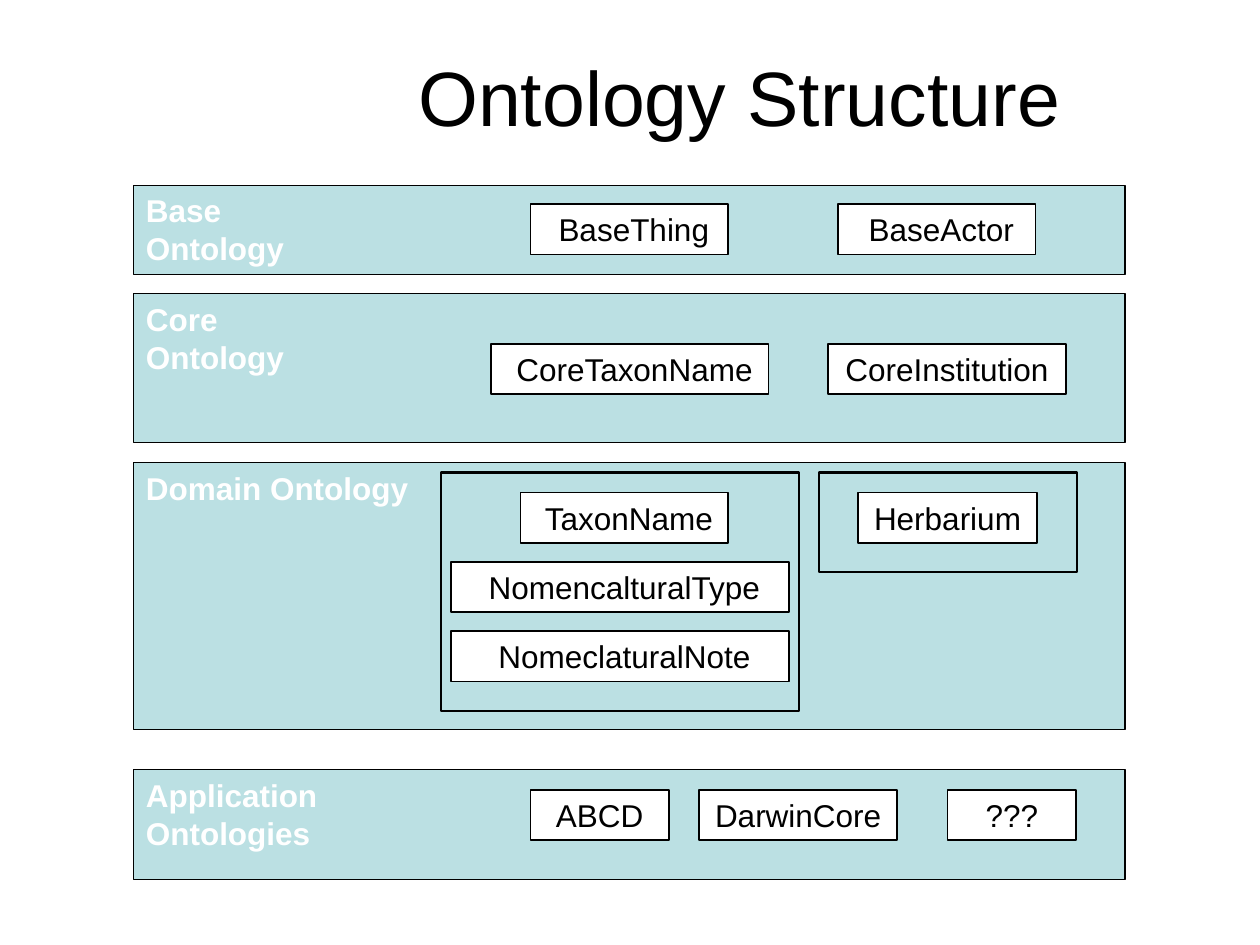
from dataclasses import dataclass

from pptx import Presentation
from pptx import util as u
from pptx.dml.color import RGBColor
from pptx.enum import shapes, text


@dataclass(frozen=True)
class Theme:
    font: str = "Arial"
    title_size: int = 44
    body_size: int = 18
    ink: str = "000000"
    paper: str = "FFFFFF"
    band: str = "BBE0E3"
    band_line: float = 0.75
    box_line: float = 1
    frame_line: float = 1.25


THEME = Theme()
BAND_LEFT, BAND_WIDTH = 1.06, 7.87
BOX_HEIGHT, BOX_STEP = 0.4, 0.55
FRAME_INSET = 0.16
NUDGE = 0.07  # extra left inset that shifts a centred name slightly right

# Bands: label, label width, top, height
BASE = ("Base Ontology", 1.96, 1.47, 0.71)
CORE = ("Core Ontology", 1.93, 2.33, 1.18)
DOMAIN = ("Domain Ontology", 2.28, 3.67, 2.12)
APPLICATION = ("Application Ontologies", 2.93, 6.11, 0.87)

# Class boxes: name, left, width, nudge
BASE_CLASSES = [("BaseThing", 4.21, 1.57, NUDGE), ("BaseActor", 6.65, 1.57, NUDGE)]
CORE_CLASSES = [("CoreTaxonName", 3.9, 2.2, NUDGE), ("CoreInstitution", 6.57, 1.89, 0)]
APPLICATION_CLASSES = [("ABCD", 4.21, 1.1, 0), ("DarwinCore", 5.55, 1.57, 0),
                       ("???", 7.52, 1.02, 0)]
NAME_CLASSES = [("TaxonName", 4.13, 1.65, NUDGE),
                ("NomencalturalType", 3.58, 2.68, NUDGE),
                ("NomeclaturalNote", 3.58, 2.68, NUDGE)]
HERBARIUM_CLASSES = [("Herbarium", 6.81, 1.42, 0)]


def write(shape, words, *, size=THEME.body_size, color=THEME.ink, bold=False,
          align=text.PP_ALIGN.LEFT, anchor=text.MSO_ANCHOR.TOP, wrap=True, nudge=0):
    frame = shape.text_frame
    frame.word_wrap = wrap
    frame.vertical_anchor = anchor
    frame.margin_left = u.Inches(0.1 + nudge)
    frame.margin_right = u.Inches(0.1)
    frame.margin_top = frame.margin_bottom = u.Inches(0.05)
    paragraph = frame.paragraphs[0]
    paragraph.alignment = align
    run = paragraph.add_run()
    run.text = words
    run.font.name = THEME.font
    run.font.size = u.Pt(size)
    run.font.bold = bold
    run.font.color.rgb = RGBColor.from_string(color)


def add_rectangle(slide, box, fill, line_width):
    shape = slide.shapes.add_shape(shapes.MSO_SHAPE.RECTANGLE,
                                   *(u.Inches(value) for value in box))
    shape.shadow.inherit = False
    shape.fill.solid()
    shape.fill.fore_color.rgb = RGBColor.from_string(fill)
    shape.line.color.rgb = RGBColor.from_string(THEME.ink)
    shape.line.width = u.Pt(line_width)
    return shape


def add_title(slide, words, box):
    title = slide.shapes.title
    title.left, title.top, title.width, title.height = (u.Inches(value) for value in box)
    write(title, words, size=THEME.title_size, align=text.PP_ALIGN.CENTER,
          anchor=text.MSO_ANCHOR.MIDDLE)


def add_band(slide, label, label_width, top, height):
    add_rectangle(slide, (BAND_LEFT, top, BAND_WIDTH, height), THEME.band, THEME.band_line)
    label_box = slide.shapes.add_textbox(u.Inches(BAND_LEFT), u.Inches(top),
                                         u.Inches(label_width), u.Inches(BOX_HEIGHT))
    write(label_box, label, color=THEME.paper, bold=True, wrap=False)


def add_classes(slide, classes, top, step=0):
    """Place class boxes in a row, or in a column when a step is given."""
    for index, (name, left, width, nudge) in enumerate(classes):
        box = (left, top + index * step, width, BOX_HEIGHT)
        shape = add_rectangle(slide, box, THEME.paper, THEME.box_line)
        write(shape, name, align=text.PP_ALIGN.CENTER, nudge=nudge)


def add_class_group(slide, classes, box):
    add_rectangle(slide, box, THEME.band, THEME.frame_line)
    add_classes(slide, classes, box[1] + FRAME_INSET, step=BOX_STEP)


def main():
    presentation = Presentation()
    presentation.slide_width = u.Inches(10)
    presentation.slide_height = u.Inches(7.5)
    slide = presentation.slides.add_slide(presentation.slide_layouts[5])
    add_title(slide, "Ontology Structure", (2.24, 0.13, 7.26, 1.26))

    # Ontology layers
    for band in (BASE, CORE, DOMAIN, APPLICATION):
        add_band(slide, *band)

    # Classes placed straight on their layer
    add_classes(slide, BASE_CLASSES, 1.62)
    add_classes(slide, CORE_CLASSES, 2.73)
    add_classes(slide, APPLICATION_CLASSES, 6.27)

    # Framed groups within the domain layer
    add_class_group(slide, NAME_CLASSES, (3.5, 3.75, 2.84, 1.89))
    add_class_group(slide, HERBARIUM_CLASSES, (6.5, 3.75, 2.05, 0.79))

    presentation.save("out.pptx")


if __name__ == "__main__":
    main()
